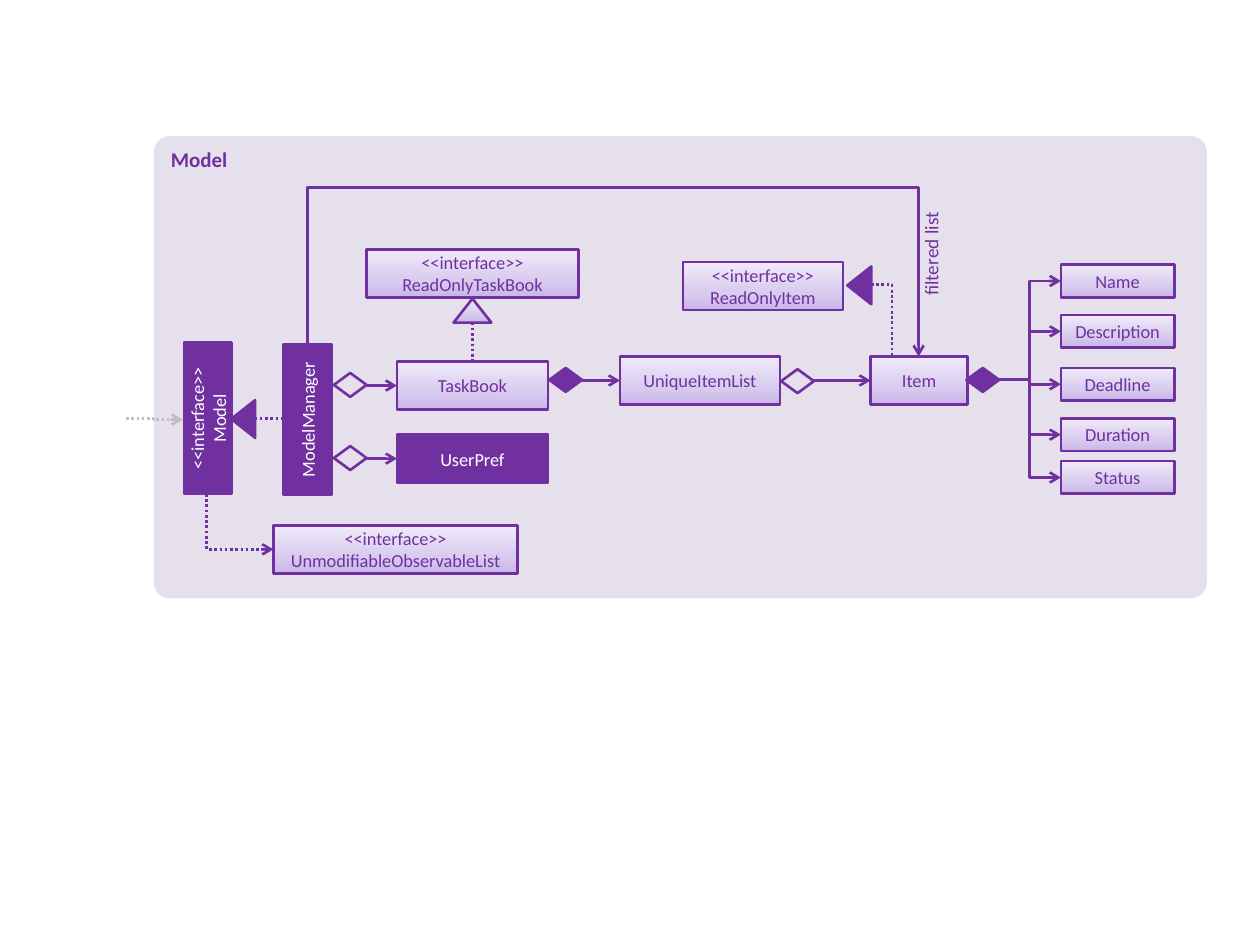
from copy import deepcopy
from dataclasses import dataclass
from typing import Any

from lxml.etree import SubElement
from pptx import Presentation
from pptx.dml.color import RGBColor
from pptx.enum.dml import MSO_LINE
from pptx.enum.shapes import MSO_CONNECTOR as Route, MSO_SHAPE as Preset
from pptx.enum.text import MSO_ANCHOR as Anchor, PP_ALIGN as Align
from pptx.oxml.ns import qn
from pptx.util import Inches, Pt

# The slide is a grid of 100 columns by 75 rows; all lengths are in cells.
COLUMNS, ROWS = 100, 75
CELL = Inches(0.1)
PURPLE, WHITE, GREY, LILAC = "7030A0", "FFFFFF", "BFBFBF", "E6E0EC"
TINT = ((0, "C9B5E8"), (0.35, "D8CBEE"), (1, "F0EAF9"))
DIAMOND, TRIANGLE = (2.6, 1.9), (3, 1.9)


def cells(*counts):
    """Convert cell counts to slide lengths."""
    return [round(count * CELL) for count in counts]


def rgb(code):
    """Turn a hex string into a colour."""
    return RGBColor.from_string(code)


def write(shape, text, size=10.5, color=PURPLE, bold=False,
          align=Align.CENTER, anchor=Anchor.MIDDLE):
    """Put formatted text in a shape; newlines part paragraphs, \\v breaks lines."""
    frame = shape.text_frame
    frame.text = text
    frame.word_wrap = True
    frame.vertical_anchor = anchor
    for paragraph in frame.paragraphs:
        paragraph.alignment = align
        for run in paragraph.runs:
            font = run.font
            font.name, font.size, font.bold = "Calibri", Pt(size), bold
            font.color.rgb = rgb(color)


def paint(shape, fill):
    """Fill a shape with one colour, with gradient stops, or not at all."""
    if fill is None:
        shape.fill.background()
    elif isinstance(fill, str):
        shape.fill.solid()
        shape.fill.fore_color.rgb = rgb(fill)
    else:
        shape.fill.gradient()
        shape.fill.gradient_angle = 90
        stop_list = shape.element.spPr.find(".//" + qn("a:gsLst"))
        while len(stop_list) < len(fill):
            stop_list.append(deepcopy(stop_list[0]))
        for stop, (position, color) in zip(shape.fill.gradient_stops, fill):
            stop.position = position
            stop.color.rgb = rgb(color)


@dataclass
class Region:
    """Part of the slide whose contents are placed from its top left cell."""
    shapes: Any
    left: float
    top: float

    def node(self, x, y, width, height, fill=TINT, preset=Preset.RECTANGLE,
             line=PURPLE, turn=0):
        """Draw one preset shape."""
        shape = self.shapes.add_shape(
            preset, *cells(self.left + x, self.top + y, width, height))
        shape.shadow.inherit = False
        shape.rotation = turn
        paint(shape, fill)
        if line:
            shape.line.color.rgb = rgb(line)
            shape.line.width = Pt(1.5)
        else:
            shape.line.fill.background()
        return shape

    def classifier(self, text, x, y, width, height=3.8, solid=False, turn=0):
        """Draw a class or interface box with its name."""
        box = self.node(x, y, width, height, PURPLE if solid else TINT, turn=turn)
        write(box, text, color=WHITE if solid else PURPLE)

    def diamond(self, x, y, fill=None):
        """Draw an aggregation (hollow) or composition (filled) diamond."""
        self.node(x, y, *DIAMOND, fill, Preset.FLOWCHART_DECISION)

    def triangle(self, x, y, fill=PURPLE, turn=270):
        """Draw the head of an inheritance link."""
        self.node(x, y, *TRIANGLE, fill, Preset.ISOSCELES_TRIANGLE, turn=turn)

    def link(self, start, end, via=None, upright=False, corner=False,
             dotted=False, arrow=True, color=PURPLE):
        """Link two points: straight, by one corner, or bent at the cell via.

        An upright link leaves its start vertically.
        """
        (x1, y1), (x2, y2) = start, end
        dx, dy = x2 - x1, y2 - y1
        along, across = (dy, dx) if upright else (dx, dy)
        width, height = abs(along), abs(across)
        left = self.left + (x1 + x2 - width) / 2
        top = self.top + (y1 + y2 - height) / 2
        bent = corner or via is not None
        line = self.shapes.add_connector(
            Route.ELBOW if bent else Route.STRAIGHT,
            *cells(left, top, left + width, top + height))
        properties = line.element.spPr
        frame = properties.find(qn("a:xfrm"))
        if upright:
            frame.set("rot", str(270 * 60000))
        if (along > 0) == upright:
            frame.set("flipH", "1")
        if across < 0:
            frame.set("flipV", "1")
        geometry = properties.find(qn("a:prstGeom"))
        if corner:
            geometry.set("prst", "bentConnector2")
        elif bent:
            share = (via - (y1 if upright else x1)) / along
            SubElement(geometry.find(qn("a:avLst")), qn("a:gd"),
                       name="adj1", fmla=f"val {round(share * 100000)}")
        line.line.color.rgb = rgb(color)
        line.line.width = Pt(1.5)
        if dotted:
            line.line.dash_style = MSO_LINE.ROUND_DOT
        if arrow:
            SubElement(properties.find(qn("a:ln")), qn("a:tailEnd"), type="arrow")
        SubElement(properties, qn("a:effectLst"))


def draw_panel(region):
    """Draw the titled backdrop of the component."""
    panel = region.node(0, 0, 83.6, 36.7, LILAC, Preset.ROUNDED_RECTANGLE, None)
    panel.adjustments[0] = 0.035
    write(panel, "Model", size=12, bold=True, align=Align.LEFT, anchor=Anchor.TOP)


def draw_manager(region):
    """Draw the Model interface, its manager and the list it exposes."""
    region.classifier("ModelManager", 8.4, 0.1, 12, solid=True, turn=270)
    region.classifier("<<interface>>\nModel", 0.5, 0, 12, solid=True, turn=270)
    region.triangle(7.8, 1)
    region.link((0, 1.9), (4.5, 2), via=2.2, dotted=True, color=GREY)
    region.link((10.2, 1.9), (12.6, 1.9), dotted=True, arrow=False)
    region.classifier("<<interface>>\vUnmodifiableObservableList", 11.7, 10.4, 19.4)
    region.link((6.4, 7.9), (11.7, 12.3), upright=True, corner=True, dotted=True)


def draw_book(region):
    """Draw the task book, its interface and the user preferences."""
    for name, y, solid in (("TaskBook", 8.9, False), ("UserPref", 14.7, True)):
        region.classifier(name, 5, y, 12, solid=solid)
        region.link((2.6, y + 1.9), (5, y + 1.9))
        region.diamond(0, y + 0.9)
    region.diamond(17.1, 9.4, PURPLE)
    region.link((11, 5.8), (11, 9), via=7.4, upright=True, dotted=True, arrow=False)
    region.triangle(9.5, 3.9, TINT, turn=0)
    region.classifier("<<interface>>\vReadOnlyTaskBook", 2.6, 0, 16.8)


def draw_items(region):
    """Draw the item list, the item, its interface and the filtered list link."""
    region.classifier("UniqueItemList", 3, 13.4, 12.7)
    region.link((0, 15.3), (3, 15.3), via=1.5)
    region.classifier("Item", 22.9, 13.4, 7.7)
    region.diamond(15.8, 14.4)
    region.link((18.4, 15.3), (22.9, 15.3), via=20.6)
    region.link((-21.8, 12.4), (26.7, 13.4), via=0, upright=True)
    region.link((22.7, 7.9), (24.6, 13.4), via=7.7, upright=True,
                dotted=True, arrow=False)
    region.classifier("<<interface>>\vReadOnlyItem", 8, 5.9, 12.7)
    region.triangle(20.5, 6.8)
    caption = region.shapes.add_textbox(
        *cells(region.left + 22.9, region.top + 4.3, 9.6, 2.9))
    caption.rotation = 270
    write(caption, "filtered list", size=11, align=Align.RIGHT, anchor=Anchor.TOP)


def draw_fields(region):
    """Draw the parts of an item, linked by a shared trunk."""
    fields = {"Name": 0, "Description": 4, "Deadline": 8.2,
              "Duration": 12.2, "Status": 15.6}
    trunk, field_left, hub = 5, 7.5, 9.1
    region.diamond(0, hub - 0.9, PURPLE)
    for name, y in fields.items():
        region.classifier(name, field_left, y, 9, 2.6)
        target = (field_left, y + 1.3)
        if target[1] < hub:
            region.link((trunk, hub), target, upright=True, corner=True)
        else:
            region.link((2.5, hub), target, via=trunk)


deck = Presentation()
deck.slide_width, deck.slide_height = cells(COLUMNS, ROWS)
canvas = deck.slides.add_slide(deck.slide_layouts[6]).shapes
for draw, left, top in ((draw_panel, 12.2, 10.8), (draw_manager, 10, 31.3),
                        (draw_book, 26.5, 19.8), (draw_items, 46.2, 14.9),
                        (draw_fields, 76.7, 21)):
    draw(Region(canvas, left, top))
deck.save("out.pptx")
